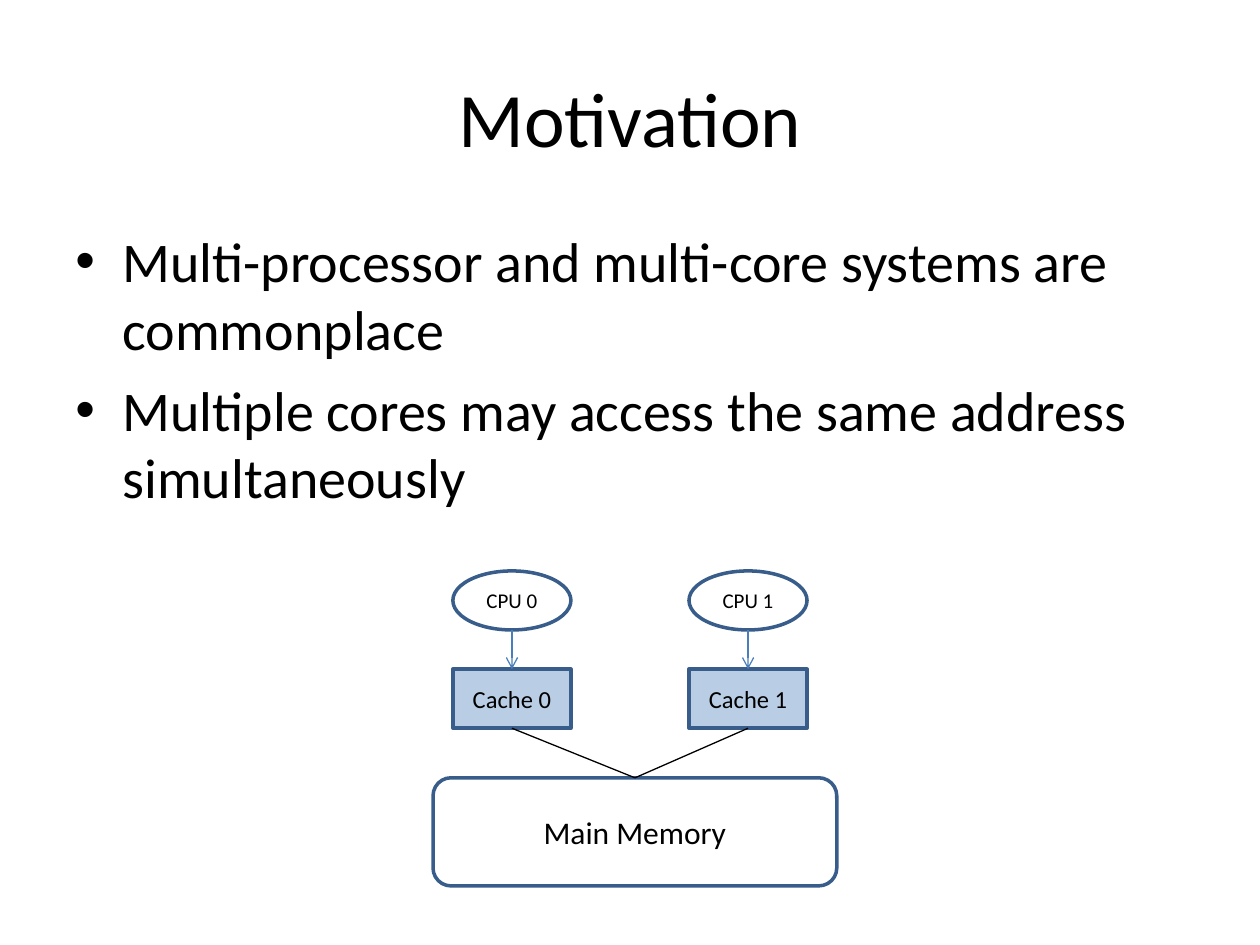
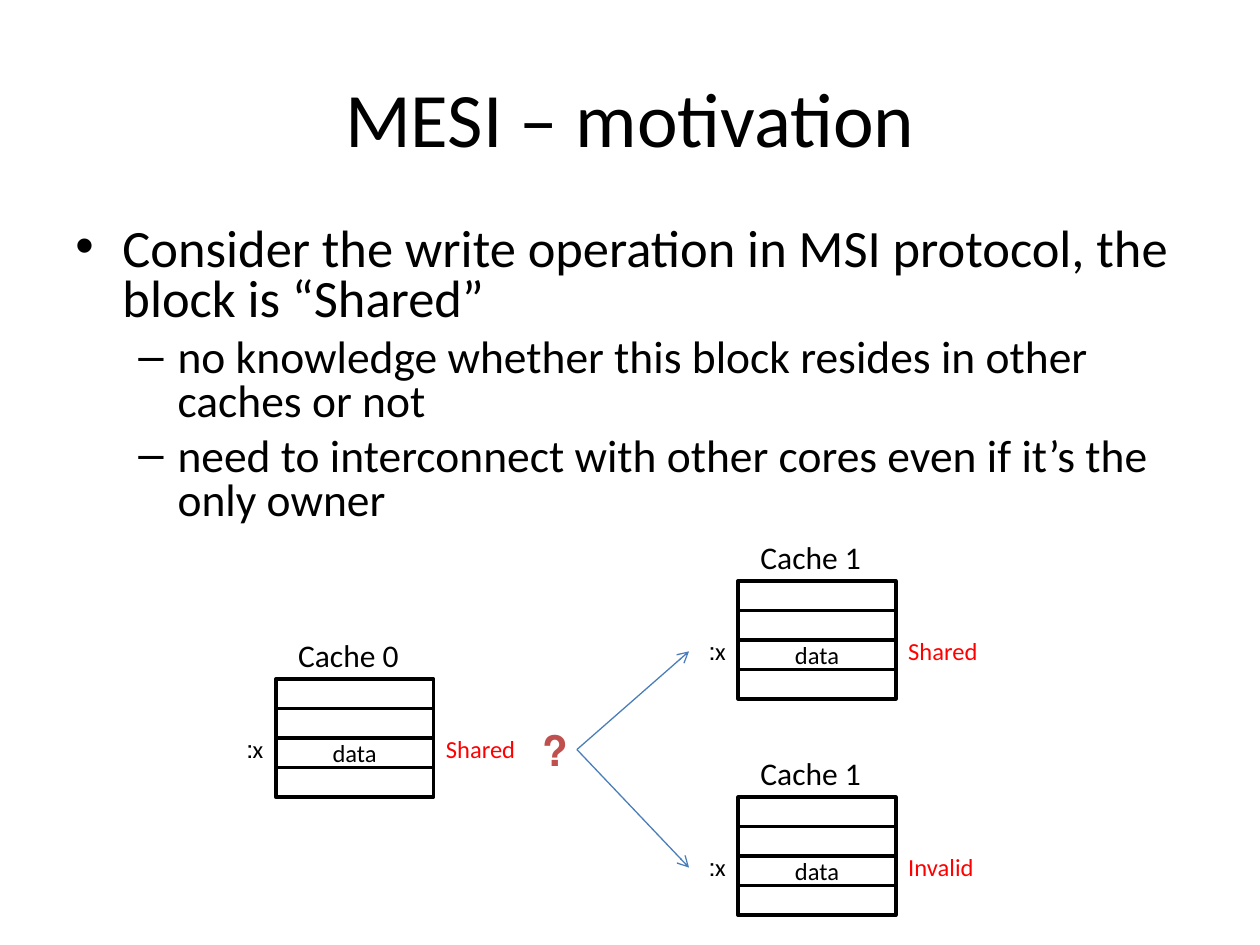
from pptx import Presentation
from pptx.dml.color import RGBColor
from pptx.enum.shapes import MSO_CONNECTOR, MSO_SHAPE
from pptx.enum.text import MSO_ANCHOR, PP_ALIGN
from pptx.oxml.ns import qn
from pptx.util import Cm, Pt
from lxml.etree import SubElement

FONT = "Calibri"
INK = {
    "text": "000000",
    "paper": "FFFFFF",
    "edge": "385D8A",
    "cache": "B9CDE5",
    "arrow": "4A7EBB",
    "state": "FF0000",
    "doubt": "C0504D",
}

MOTIVE = {
    "title": "Motivation",
    "height": 8.66,
    "spacing": None,
    "points": [
        (0, 32, 8, "Multi-processor and multi-core systems are commonplace"),
        (0, 32, 8, "Multiple cores may access the same address simultaneously"),
    ],
}
MESI = {
    "title": "MESI – motivation",
    "height": 6.48,
    "spacing": 0.8,
    "points": [
        (0, 30, 7.5, "Consider the write operation in MSI protocol, the block is “Shared”"),
        (1, 26, 6.5, "no knowledge whether this block resides in other caches or not"),
        (1, 26, 6.5, "need to interconnect with other cores even if it’s the only owner"),
    ],
}
LEVELS = [("•", 0.95, 0.95), ("–", 2.06, 0.79)]

CORES = [("CPU 0", "Cache 0"), ("CPU 1", "Cache 1")]
CORE = {"left": 9.13, "step": 4.76, "wide": 2.38, "high": 1.19, "cpu": 11.51, "cache": 13.49}
MEMORY = (8.73, 15.68, 8.14, 2.18)

ROWS = ["", "", "data", ""]
STACK = {"wide": 3.18, "high": 2.38, "gap": 0.99, "mid": 1.42}
STACKS = [
    ("Cache 0", "Shared", 5.56, 13.69),
    ("Cache 1", "Shared", 14.88, 11.71),
    ("Cache 1", "Invalid", 14.88, 16.07),
]
FORK = 11.63


def color(name):
    return RGBColor.from_string(INK[name])


def style(para, size, ink="text", align=None, rtl=False, bold=False):
    if align is not None:
        para.alignment = align
    if rtl:
        para._p.get_or_add_pPr().set("rtl", "1")
    for run in para.runs:
        font = run.font
        font.name, font.size = FONT, Pt(size)
        font.color.rgb = color(ink)
        if bold:
            font.bold = True


def label(slide, text, box, size, wrap=True, mid=False, **look):
    frame = slide.shapes.add_textbox(*map(Cm, box)).text_frame
    frame.word_wrap = wrap
    frame.vertical_anchor = MSO_ANCHOR.MIDDLE if mid else MSO_ANCHOR.TOP
    frame.text = text
    style(frame.paragraphs[0], size, **look)


def block(slide, kind, box, text="", size=14, fill="paper", edge="edge", rtl=False):
    shape = slide.shapes.add_shape(kind, *map(Cm, box))
    shape.shadow.inherit = False
    shape.fill.solid()
    shape.fill.fore_color.rgb = color(fill)
    shape.line.color.rgb = color(edge)
    shape.line.width = Pt(2)
    if text:
        frame = shape.text_frame
        frame.vertical_anchor = MSO_ANCHOR.MIDDLE
        frame.text = text
        style(frame.paragraphs[0], size, align=PP_ALIGN.CENTER, rtl=rtl)


def link(slide, start, end, ink="arrow", head=True):
    line = slide.shapes.add_connector(MSO_CONNECTOR.STRAIGHT, *map(Cm, start + end))
    line.line.color.rgb = color(ink)
    line.line.width = Pt(0.75)
    props = line.element.find(qn("p:spPr"))
    if head:
        SubElement(props.find(qn("a:ln")), qn("a:tailEnd"), type="arrow")
    SubElement(props, qn("a:effectLst"))


def page(deck, data):
    slide = deck.slides.add_slide(deck.slide_layouts[6])
    label(slide, data["title"], (1.27, 0.76, 22.86, 3.18), 44, mid=True, align=PP_ALIGN.CENTER)
    frame = slide.shapes.add_textbox(*map(Cm, (1.27, 4.45, 22.86, data["height"]))).text_frame
    frame.word_wrap = True
    frame.text = "\n".join(point[-1] for point in data["points"])
    for i, (para, point) in enumerate(zip(frame.paragraphs, data["points"])):
        level, size, space, _ = point
        mark, left, hang = LEVELS[level]
        props = para._p.get_or_add_pPr()
        props.set("marL", str(Cm(left)))
        props.set("indent", str(-Cm(hang)))
        SubElement(props, qn("a:buFont"), typeface="Arial")
        SubElement(props, qn("a:buChar"), char=mark)
        para.level = level
        if data["spacing"]:
            para.line_spacing = data["spacing"]
        if i:
            para.space_before = Pt(space)
        style(para, size)
    return slide


def cores(slide):
    left, top, wide, high = MEMORY
    block(slide, MSO_SHAPE.ROUNDED_RECTANGLE, MEMORY, "Main Memory", 18)
    for i, (cpu, cache) in enumerate(CORES):
        x = CORE["left"] + i * CORE["step"]
        mid = x + CORE["wide"] / 2
        size = (CORE["wide"], CORE["high"])
        block(slide, MSO_SHAPE.RECTANGLE, (x, CORE["cache"], *size), cache, 14, "cache", rtl=True)
        block(slide, MSO_SHAPE.OVAL, (x, CORE["cpu"], *size), cpu, 12)
        link(slide, (mid, CORE["cpu"] + CORE["high"]), (mid, CORE["cache"]))
        link(slide, (mid, CORE["cache"] + CORE["high"]), (left + wide / 2, top), "text", False)


def stack(slide, name, state, x, y):
    wide, gap = STACK["wide"], STACK["gap"]
    high = STACK["high"] / len(ROWS)
    for i, text in enumerate(ROWS):
        block(slide, MSO_SHAPE.RECTANGLE, (x, y + i * high, wide, high), text, edge="text", rtl=True)
    label(slide, "x:", (x - gap, y + gap, gap, 0.86), 14, align=PP_ALIGN.RIGHT, rtl=True)
    label(slide, name, (x + 0.2, y - gap, 2.54, 1.02), 18, wrap=False)
    label(slide, state, (x + wide, y + gap, 1.9, 0.86), 14, wrap=False, ink="state")


def caches(slide):
    for item in STACKS:
        stack(slide, *item)
    mid = STACK["mid"]
    start = (FORK, STACKS[0][3] + mid)
    for _, _, x, y in STACKS[1:]:
        link(slide, start, (x - STACK["gap"], y + mid))
    label(slide, "?", (10.67, 14.48, 1.02, 1.27), 24, wrap=False,
          ink="doubt", align=PP_ALIGN.RIGHT, rtl=True, bold=True)


def main():
    deck = Presentation()
    deck.slide_width, deck.slide_height = Cm(25.4), Cm(19.05)
    cores(page(deck, MOTIVE))
    caches(page(deck, MESI))
    deck.save("out.pptx")


if __name__ == "__main__":
    main()
